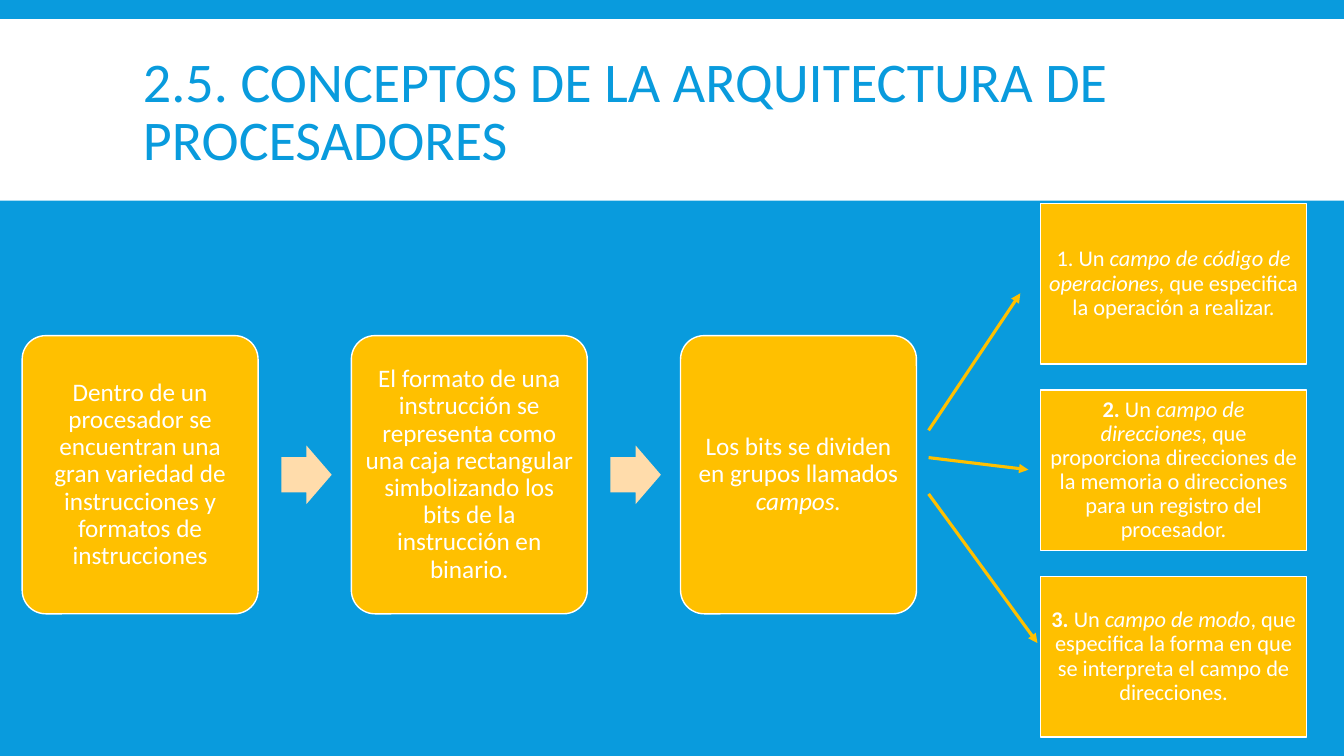
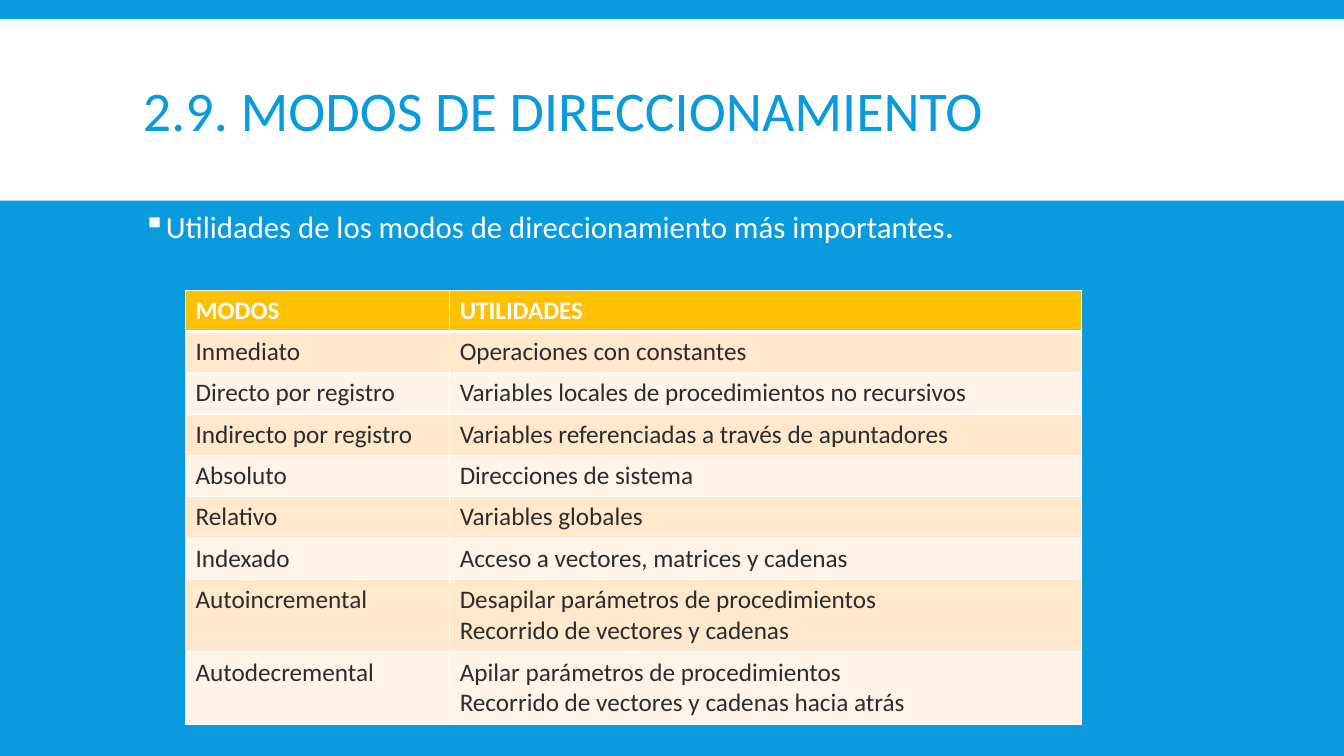
from dataclasses import dataclass

from lxml import etree
from pptx import Presentation
from pptx.dml.color import RGBColor
from pptx.enum.shapes import MSO_CONNECTOR, MSO_SHAPE
from pptx.enum.text import MSO_ANCHOR, PP_ALIGN
from pptx.oxml.ns import qn
from pptx.util import Inches, Pt

RECTANGLE = MSO_SHAPE.RECTANGLE
ROUNDED = MSO_SHAPE.ROUNDED_RECTANGLE
RIGHT_ARROW = MSO_SHAPE.RIGHT_ARROW
STRAIGHT = MSO_CONNECTOR.STRAIGHT
TOP, MIDDLE = MSO_ANCHOR.TOP, MSO_ANCHOR.MIDDLE
LEFT, CENTER = PP_ALIGN.LEFT, PP_ALIGN.CENTER


@dataclass(frozen=True)
class Theme:
    font: str = "Calibri"
    blue: str = "099BDD"
    white: str = "FFFFFF"
    amber: str = "FFC000"
    pale_amber: str = "FFDCAB"
    dark: str = "2C2C2C"
    row_bands: tuple = ("FFE8CC", "FFF4E7")
    title_size: int = 40
    bullet_size: int = 22
    text_size: int = 18
    field_size: int = 16


THEME = Theme()
SLIDE_WIDTH, SLIDE_HEIGHT = 13.33, 7.5


@dataclass(frozen=True)
class Box:
    left: float
    top: float
    width: float
    height: float

    def lengths(self):
        return [Inches(side) for side in (self.left, self.top, self.width, self.height)]


# Shared helpers
def format_run(run, size, color, bold=False, italic=False):
    run.font.name = THEME.font
    run.font.size = Pt(size)
    run.font.color.rgb = RGBColor.from_string(color)
    run.font.bold = bold
    run.font.italic = italic


def write_runs(paragraph, pieces, size, color):
    """Each piece is a text and its style: "" plain, "b" bold, "i" italic."""
    for text, style in pieces:
        run = paragraph.add_run()
        run.text = text
        format_run(run, size, color, style == "b", style == "i")


def add_shape(slide, kind, box, fill, line=None):
    shape = slide.shapes.add_shape(kind, *box.lengths())
    shape.shadow.inherit = False
    shape.fill.solid()
    shape.fill.fore_color.rgb = RGBColor.from_string(fill)
    if line:
        shape.line.color.rgb = RGBColor.from_string(line)
        shape.line.width = Pt(1)
    else:
        shape.line.fill.background()
    return shape


def add_text(slide, box, pieces, size, color, anchor, line_spacing):
    frame = slide.shapes.add_textbox(*box.lengths()).text_frame
    frame.word_wrap = True
    frame.vertical_anchor = anchor
    paragraph = frame.paragraphs[0]
    paragraph.alignment = LEFT
    paragraph.line_spacing = line_spacing
    write_runs(paragraph, pieces, size, color)
    return paragraph


def add_card(slide, kind, box, pieces, size):
    card = add_shape(slide, kind, box, THEME.amber, THEME.white)
    frame = card.text_frame
    frame.word_wrap = True
    frame.vertical_anchor = MIDDLE
    frame.margin_left = frame.margin_right = Inches(0.07)
    frame.margin_top = frame.margin_bottom = Inches(0.07)
    paragraph = frame.paragraphs[0]
    paragraph.alignment = CENTER
    paragraph.line_spacing = 0.9
    write_runs(paragraph, pieces, size, THEME.white)
    return card


def add_arrow(slide, start, end):
    points = [Inches(value) for value in (*start, *end)]
    connector = slide.shapes.add_connector(STRAIGHT, *points)
    connector.line.color.rgb = RGBColor.from_string(THEME.amber)
    connector.line.width = Pt(2.25)
    line = connector.line._get_or_add_ln()
    etree.SubElement(line, qn("a:tailEnd"), type="triangle")
    etree.SubElement(connector._element.spPr, qn("a:effectLst"))


def add_titled_slide(presentation, title):
    slide = presentation.slides.add_slide(presentation.slide_layouts[6])
    slide.background.fill.solid()
    slide.background.fill.fore_color.rgb = RGBColor.from_string(THEME.blue)
    add_shape(slide, RECTANGLE, Box(0, 0.19, SLIDE_WIDTH, 1.8), THEME.white)
    add_text(slide, Box(1.32, 0.31, 10.7, 1.65), [(title, "")],
             THEME.title_size, THEME.blue, MIDDLE, 0.85)
    return slide


# Row of rounded steps joined by block arrows
def add_steps(slide, box, steps):
    card_width, arrow_width, arrow_height = 2.34, 0.5, 0.58
    pitch = (box.width - card_width) / (len(steps) - 1)
    for index, pieces in enumerate(steps):
        left = box.left + index * pitch
        card_box = Box(left, box.top, card_width, box.height)
        card = add_card(slide, ROUNDED, card_box, pieces, THEME.text_size)
        card.adjustments[0] = 0.1
        if index < len(steps) - 1:
            arrow_top = box.top + (box.height - arrow_height) / 2
            arrow_box = Box(left + card_width + 0.23, arrow_top, arrow_width, arrow_height)
            arrow = add_shape(slide, RIGHT_ARROW, arrow_box, THEME.pale_amber)
            arrow.adjustments[0] = 0.6
            arrow.adjustments[1] = 0.5


# Column of fields
def add_fields(slide, box, fields):
    card_height = 1.59
    pitch = (box.height - card_height) / (len(fields) - 1)
    for index, pieces in enumerate(fields):
        card_box = Box(box.left, box.top + index * pitch, box.width, card_height)
        add_card(slide, RECTANGLE, card_box, pieces, THEME.field_size)


# Bulleted introduction
def add_bullet(slide, box, pieces):
    paragraph = add_text(slide, box, pieces, THEME.bullet_size, THEME.white, TOP, 0.9)
    paragraph.space_before, paragraph.space_after = Pt(12), Pt(2)
    properties = paragraph._p.get_or_add_pPr()
    properties.set("marL", str(Inches(0.2)))
    properties.set("indent", str(-Inches(0.2)))
    bullet_color = etree.SubElement(properties, qn("a:buClr"))
    etree.SubElement(bullet_color, qn("a:srgbClr"), val=THEME.white)
    etree.SubElement(properties, qn("a:buChar"), char="▪")


# Table of addressing modes
def set_borders(cell, widths):
    properties = cell._tc.get_or_add_tcPr()
    for side, width in zip("LRTB", widths):
        line = etree.SubElement(properties, qn(f"a:ln{side}"), w=str(Pt(width)))
        fill = etree.SubElement(line, qn("a:solidFill"))
        etree.SubElement(fill, qn("a:srgbClr"), val=THEME.white)


def add_modes_table(slide, box, rows):
    line_height, padding = 0.31, 0.1
    first_column = 2.62
    table = slide.shapes.add_table(len(rows), 2, *box.lengths()).table
    table.columns[0].width = Inches(first_column)
    table.columns[1].width = Inches(box.width - first_column)
    for row_index, texts in enumerate(rows):
        header = row_index == 0
        fill = THEME.amber if header else THEME.row_bands[(row_index - 1) % 2]
        color = THEME.white if header else THEME.dark
        line_count = max(text.count("\n") + 1 for text in texts)
        table.rows[row_index].height = Inches(padding + line_count * line_height)
        for column_index, text in enumerate(texts):
            cell = table.cell(row_index, column_index)
            top_width = 3 if row_index == 1 else 1
            set_borders(cell, (1, 1, top_width, 3 if header else 1))
            cell.fill.solid()
            cell.fill.fore_color.rgb = RGBColor.from_string(fill)
            cell.text_frame.text = text
            for paragraph in cell.text_frame.paragraphs:
                for run in paragraph.runs:
                    format_run(run, THEME.text_size, color, bold=header)


# Slides
def build_concepts_slide(presentation):
    slide = add_titled_slide(
        presentation, "2.5. CONCEPTOS DE LA ARQUITECTURA DE PROCESADORES")
    add_steps(slide, Box(0.22, 3.33, 8.87, 2.76), [
        [("Dentro de un procesador se encuentran una gran variedad de "
          "instrucciones y formatos de instrucciones", "")],
        [("El formato de una instrucción se representa como una caja rectangular "
          "simbolizando los bits de la instrucción en binario.", "")],
        [("Los bits se dividen en grupos llamados ", ""), ("campos.", "i")],
    ])
    add_fields(slide, Box(10.32, 2.02, 2.64, 5.29), [
        [("1. Un ", ""), ("campo de código de operaciones", "i"),
         (", que especifica la operación a realizar.", "")],
        [("2. ", "b"), ("Un ", ""), ("campo de direcciones", "i"),
         (", que proporciona direcciones de la memoria o direcciones "
          "para un registro del procesador.", "")],
        [("3. ", "b"), ("Un ", ""), ("campo de modo", "i"),
         (", que especifica la forma en que se interpreta el campo de "
          "direcciones.", "")],
    ])
    for start_top, end in ((4.27, (10.12, 2.91)), (4.54, (10.2, 4.66)), (4.9, (10.29, 6.38))):
        add_arrow(slide, (9.21, start_top), end)


def build_modes_slide(presentation):
    slide = add_titled_slide(presentation, "2.9. MODOS DE DIRECCIONAMIENTO")
    add_bullet(slide, Box(1.32, 2.05, 11.29, 5.45), [
        ("Utilidades de los modos de direccionamiento más importantes", ""), (".", "b")])
    add_modes_table(slide, Box(1.84, 2.88, 8.89, 4.24), [
        ("MODOS", "UTILIDADES"),
        ("Inmediato", "Operaciones con constantes"),
        ("Directo por registro", "Variables locales de procedimientos no recursivos"),
        ("Indirecto por registro", "Variables referenciadas a través de apuntadores"),
        ("Absoluto", "Direcciones de sistema"),
        ("Relativo", "Variables globales"),
        ("Indexado", "Acceso a vectores, matrices y cadenas"),
        ("Autoincremental",
         "Desapilar parámetros de procedimientos\nRecorrido de vectores y cadenas"),
        ("Autodecremental",
         "Apilar parámetros de procedimientos\nRecorrido de vectores y cadenas hacia atrás"),
    ])


presentation = Presentation()
presentation.slide_width = Inches(SLIDE_WIDTH)
presentation.slide_height = Inches(SLIDE_HEIGHT)
build_concepts_slide(presentation)
build_modes_slide(presentation)
presentation.save("out.pptx")
